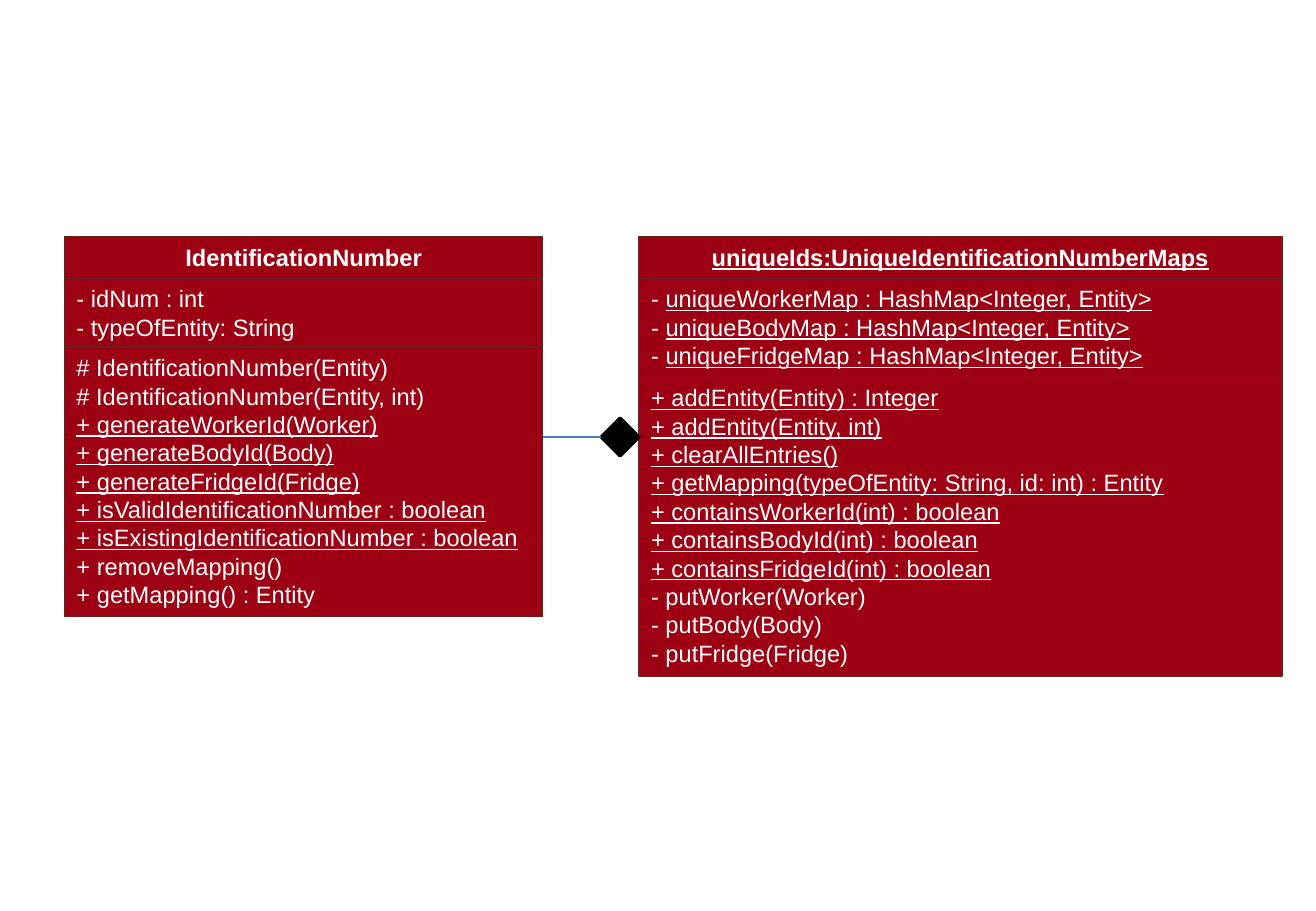
"""Build a UML class diagram of identification numbers and their maps."""
from lxml import etree
from pptx import Presentation
from pptx.dml.color import RGBColor
from pptx.enum.shapes import MSO_CONNECTOR, MSO_SHAPE
from pptx.enum.text import MSO_ANCHOR, MSO_AUTO_SIZE, PP_ALIGN
from pptx.oxml.ns import qn
from pptx.util import Cm, Pt

RECTANGLE, DIAMOND = MSO_SHAPE.RECTANGLE, MSO_SHAPE.DIAMOND
STRAIGHT = MSO_CONNECTOR.STRAIGHT
TOP = MSO_ANCHOR.TOP
FIT_SHAPE = MSO_AUTO_SIZE.SHAPE_TO_FIT_TEXT
CENTER, LEFT = PP_ALIGN.CENTER, PP_ALIGN.LEFT

RED = RGBColor(0x9D, 0x00, 0x12)
BROWN = RGBColor(0x63, 0x25, 0x23)
WHITE = RGBColor(0xFF, 0xFF, 0xFF)
BLACK = RGBColor(0x00, 0x00, 0x00)
BLUE = RGBColor(0x4B, 0x7E, 0xBC)

CLASS_TOP = 4.95
ID_LEFT, ID_WIDTH = 1.35, 10.0
MAPS_LEFT, MAPS_WIDTH = 13.36, 13.44
DIAMOND_SIZE = 0.79
LINK_Y = 9.14

ID_SECTIONS = [
    (0.87, [("IdentificationNumber", "")]),
    (1.44, [("- idNum : int", ""), ("- typeOfEntity: String", "")]),
    (5.64, [
        ("# IdentificationNumber(Entity)", ""),
        ("# IdentificationNumber(Entity, int)", ""),
        ("", "+ generateWorkerId(Worker)"),
        ("", "+ generateBodyId(Body)"),
        ("", "+ generateFridgeId(Fridge)"),
        ("", "+ isValidIdentificationNumber : boolean"),
        ("", "+ isExistingIdentificationNumber : boolean"),
        ("+ removeMapping()", ""),
        ("+ getMapping() : Entity", ""),
    ]),
]
MAPS_SECTIONS = [
    (0.87, [("", "uniqueIds:UniqueIdentificationNumberMaps")]),
    (2.07, [
        ("- ", "uniqueWorkerMap : HashMap<Integer, Entity>"),
        ("- ", "uniqueBodyMap : HashMap<Integer, Entity>"),
        ("- ", "uniqueFridgeMap : HashMap<Integer, Entity>"),
    ]),
    (6.25, [
        ("", "+ addEntity(Entity) : Integer"),
        ("", "+ addEntity(Entity, int)"),
        ("", "+ clearAllEntries()"),
        ("", "+ getMapping(typeOfEntity: String, id: int) : Entity"),
        ("", "+ containsWorkerId(int) : boolean"),
        ("", "+ containsBodyId(int) : boolean"),
        ("", "+ containsFridgeId(int) : boolean"),
        ("- putWorker(Worker)", ""),
        ("- putBody(Body)", ""),
        ("- putFridge(Fridge)", ""),
    ]),
]


def add_block(shapes, preset, left, top, width, height, fill, outline, weight):
    block = shapes.add_shape(preset, Cm(left), Cm(top), Cm(width), Cm(height))
    block.shadow.inherit = False
    block.fill.solid()
    block.fill.fore_color.rgb = fill
    block.line.color.rgb = outline
    block.line.width = Pt(weight)
    return block


def add_class(slide, left, width, sections):
    group = slide.shapes.add_group_shape()
    top = CLASS_TOP
    for index, (height, members) in enumerate(sections):
        section = add_block(group.shapes, RECTANGLE, left, top, width, height, RED, BROWN, 0.75)
        frame = section.text_frame
        frame.word_wrap = True
        frame.auto_size = FIT_SHAPE
        frame.vertical_anchor = TOP
        for row, member in enumerate(members):
            paragraph = frame.add_paragraph() if row else frame.paragraphs[0]
            paragraph.alignment = LEFT if index else CENTER
            for text, underlined in zip(member, (False, True)):
                if text:
                    run = paragraph.add_run()
                    run.text = text
                    run.font.name = "Arial"
                    run.font.size = Pt(14)
                    run.font.color.rgb = WHITE
                    run.font.bold = index == 0
                    run.font.underline = underlined
        top += height


prs = Presentation()
prs.slide_width, prs.slide_height = Cm(27.51), Cm(19.05)
slide = prs.slides.add_slide(prs.slide_layouts[6])

add_class(slide, MAPS_LEFT, MAPS_WIDTH, MAPS_SECTIONS)

composition = add_block(slide.shapes, DIAMOND, MAPS_LEFT - DIAMOND_SIZE, LINK_Y - DIAMOND_SIZE / 2,
                        DIAMOND_SIZE, DIAMOND_SIZE, BLACK, BLACK, 2)
link = slide.shapes.add_connector(STRAIGHT, Cm(MAPS_LEFT - DIAMOND_SIZE), Cm(LINK_Y),
                                  Cm(ID_LEFT + ID_WIDTH), Cm(LINK_Y))
link.begin_connect(composition, 1)
link.line.color.rgb = BLUE
link.line.width = Pt(0.75)
etree.SubElement(link._element.spPr, qn("a:effectLst"))

add_class(slide, ID_LEFT, ID_WIDTH, ID_SECTIONS)

prs.save("out.pptx")
